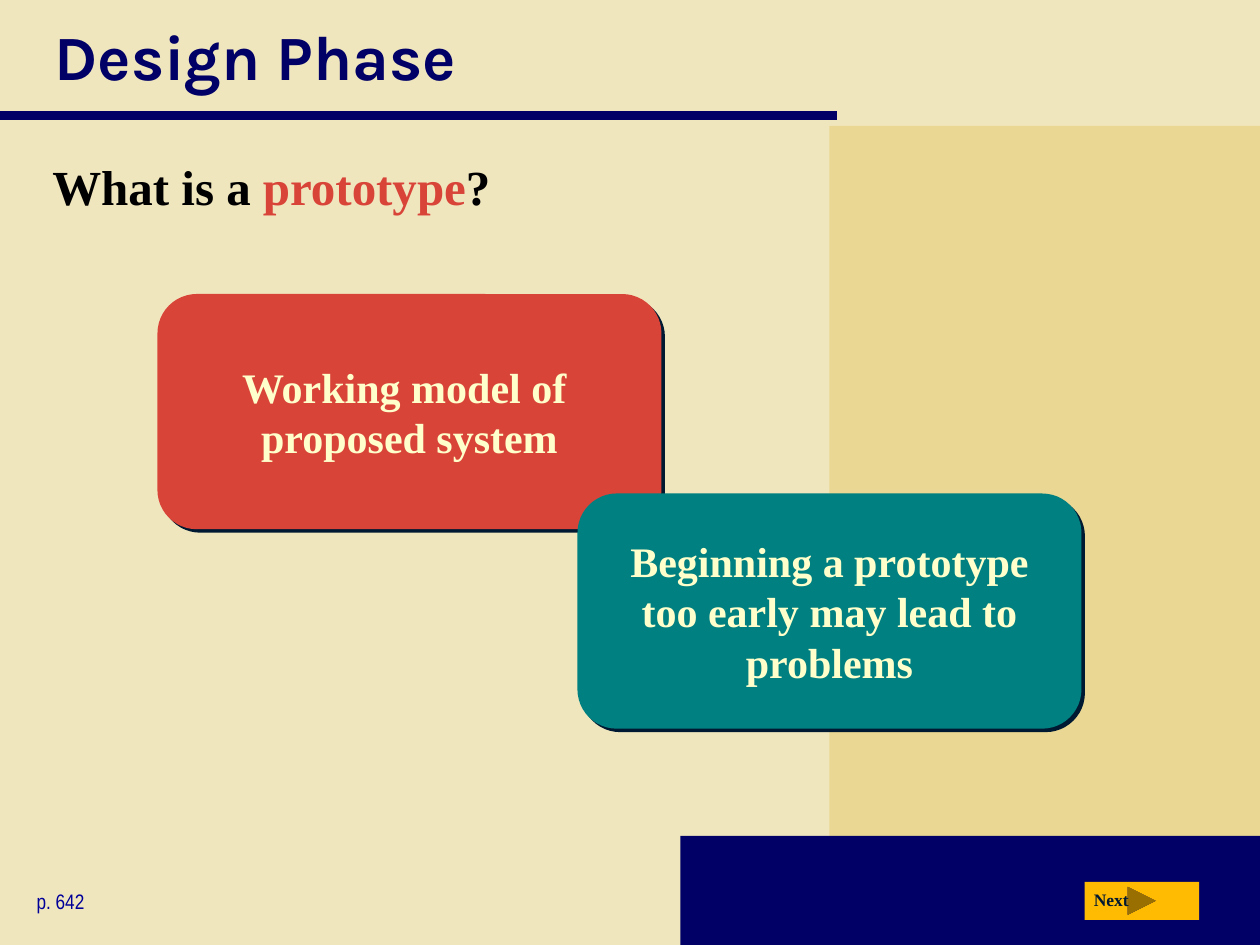
from dataclasses import dataclass

from lxml.etree import SubElement
from pptx import Presentation
from pptx.dml.color import RGBColor
from pptx.enum.shapes import MSO_CONNECTOR, MSO_SHAPE
from pptx.enum.text import MSO_ANCHOR, MSO_AUTO_SIZE, PP_ALIGN
from pptx.oxml.ns import qn
from pptx.util import Emu, Inches, Pt

COLORS = {
    "cream": "F0E6BE", "sand": "E9D793", "navy": "000066", "red": "D94439",
    "teal": "008080", "amber": "FFBA02", "ink": "001932", "ivory": "FFFFCC",
    "black": "000000", "blue": "000099",
}
SERIF = "Times New Roman"
COLUMNS, ROWS = 120, 90
WIDTH, HEIGHT = Inches(10), Inches(7.5)


@dataclass(frozen=True)
class Area:
    """A rectangle in grid columns and rows."""
    column: float
    row: float
    columns: float
    rows: float


@dataclass(frozen=True)
class Style:
    font: str
    size: float
    color: str
    bold: bool = True


@dataclass(frozen=True)
class Card:
    text: str
    area: Area
    fill: str


PANELS = [(Area(79, 12, 41, 78), "sand"), (Area(64.8, 79.6, 55.2, 10.4), "navy")]
CARD_STYLE = Style(SERIF, 24, "ivory")
CARDS = [
    Card("Working model of \vproposed system", Area(15, 28, 48, 22.4), "red"),
    Card("Beginning a prototype too early may lead to problems",
         Area(55, 47, 48, 22.4), "teal"),
]


def across(columns: float) -> Emu:
    return Emu(round(WIDTH * columns / COLUMNS))


def down(rows: float) -> Emu:
    return Emu(round(HEIGHT * rows / ROWS))


def place(area: Area) -> tuple:
    return across(area.column), down(area.row), across(area.columns), down(area.rows)


def color(name: str) -> RGBColor:
    return RGBColor.from_string(COLORS[name])


def format_span(span, style: Style) -> None:
    span.font.name = style.font
    span.font.size = Pt(style.size)
    span.font.bold = style.bold
    span.font.color.rgb = color(style.color)


def add_filled(shapes, kind: MSO_SHAPE, area: Area, fill: str):
    shape = shapes.add_shape(kind, *place(area))
    shape.shadow.inherit = False
    shape.fill.solid()
    shape.fill.fore_color.rgb = color(fill)
    shape.line.fill.background()
    return shape


def add_text(shapes, area: Area, text: str, style: Style, grow: bool = False):
    box = shapes.add_textbox(*place(area))
    frame = box.text_frame
    frame.text = text
    frame.word_wrap = True
    if grow:
        frame.auto_size = MSO_AUTO_SIZE.SHAPE_TO_FIT_TEXT
    format_span(frame.paragraphs[0].runs[0], style)
    return box


def add_card(page, card: Card) -> None:
    shape = add_filled(page.shapes, MSO_SHAPE.ROUNDED_RECTANGLE, card.area, card.fill)
    shape.adjustments[0] = 0.167
    effects = shape._element.spPr.find(qn("a:effectLst"))
    shadow = SubElement(effects, qn("a:outerShdw"), dist=str(Pt(2.8)),
                        dir=str(45 * 60000), algn="ctr", rotWithShape="0")
    SubElement(shadow, qn("a:srgbClr"), val=COLORS["ink"])
    frame = shape.text_frame
    frame.text = card.text
    frame.word_wrap = True
    frame.vertical_anchor = MSO_ANCHOR.MIDDLE
    para = frame.paragraphs[0]
    para.alignment = PP_ALIGN.CENTER
    for span in para.runs:
        format_span(span, CARD_STYLE)


def add_title_rule(page) -> None:
    rule = page.shapes.add_connector(
        MSO_CONNECTOR.STRAIGHT, 0, down(11), across(79.7), down(11))
    rule.line.color.rgb = color("navy")
    rule.line.width = Pt(5)
    SubElement(rule._element.spPr, qn("a:effectLst"))


def add_question(page) -> None:
    style = Style(SERIF, 28, "black")
    box = add_text(page.shapes, Area(3.8, 14.3, 112.7, 8.6), "What is a ", style)
    para = box.text_frame.paragraphs[0]
    for text, name in [("prototype", "red"), ("?", "black")]:
        span = para.add_run()
        span.text = text
        format_span(span, Style(SERIF, 28, name))


def add_next_button(page) -> None:
    group = page.shapes.add_group_shape()
    add_filled(group.shapes, MSO_SHAPE.ACTION_BUTTON_FORWARD_OR_NEXT,
               Area(103.3, 84, 10.9, 3.6), "amber")
    add_text(group.shapes, Area(103, 84.1, 6.1, 3.2), "Next",
             Style(SERIF, 10, "ink"), grow=True)


def main() -> None:
    deck = Presentation()
    deck.slide_width, deck.slide_height = WIDTH, HEIGHT
    page = deck.slides.add_slide(deck.slide_layouts[6])
    page.background.fill.solid()
    page.background.fill.fore_color.rgb = color("cream")

    for area, fill in PANELS:
        add_filled(page.shapes, MSO_SHAPE.RECTANGLE, area, fill)
    add_title_rule(page)
    title = add_text(page.shapes, Area(4, 0, 112.7, 10.5), "Design Phase",
                     Style("Karla", 36, "navy"))
    title.text_frame.vertical_anchor = MSO_ANCHOR.MIDDLE
    add_question(page)
    add_text(page.shapes, Area(2.3, 84, 20.3, 3.6), "p. 642",
             Style("Arial Narrow", 12, "blue", bold=False), grow=True)
    add_next_button(page)
    for card in CARDS:
        add_card(page, card)
    deck.save("out.pptx")


if __name__ == "__main__":
    main()
